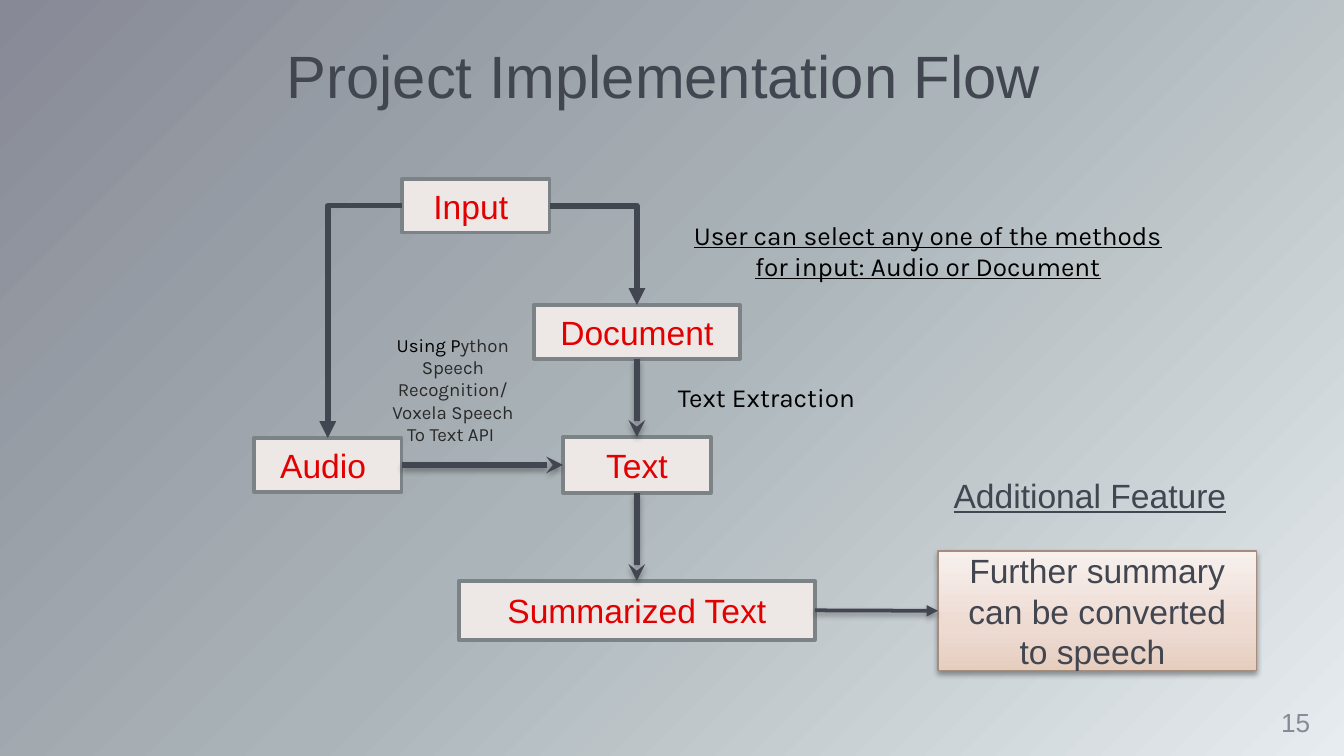
from lxml.etree import SubElement as Sub
from pptx import Presentation
from pptx.dml.color import RGBColor as RGB
from pptx.enum.shapes import MSO_CONNECTOR as LINK, MSO_SHAPE as SHAPE
from pptx.enum.text import MSO_ANCHOR as ANCHOR, MSO_AUTO_SIZE as SIZE, PP_ALIGN as ALIGN
from pptx.oxml.ns import qn
from pptx.util import Pt

DARK = RGB(0x42, 0x46, 0x50)
GREY = RGB(0x87, 0x8A, 0x96)
RED = RGB(0xE3, 0x00, 0x00)
BLACK = RGB(0x00, 0x00, 0x00)
INK = RGB(0x29, 0x29, 0x29)
PALE = RGB(0xED, 0xE8, 0xE5)
EDGE = RGB(0x7C, 0x83, 0x86)
TAN = RGB(0xA5, 0x8D, 0x7E)
SKY = [(0, RGB(0xE7, 0xEC, 0xF0)), (50, RGB(0xAB, 0xB4, 0xB8)), (100, GREY)]
PEACH = [(0, RGB(0xE6, 0xCE, 0xBF)), (35, RGB(0xED, 0xDA, 0xD1)), (100, RGB(0xF7, 0xF0, 0xED))]
TOP, LEFT, BOTTOM, RIGHT = range(4)


def blend(fill, root, stops, angle):
    """Give a fill a linear gradient with the listed stops."""
    fill.gradient()
    fill.gradient_angle = angle
    group = next(root.iter(qn("a:gsLst")))
    group.clear()
    for place, color in stops:
        stop = Sub(group, qn("a:gs"), pos=str(place * 1000))
        Sub(stop, qn("a:srgbClr"), val=str(color))


def shade(shape, alpha=None, gap=1.8):
    """Replace the theme shadow with a soft drop shadow, or with none."""
    props = shape.element.spPr
    effect = Sub(props, qn("a:effectLst"))
    if alpha:
        drop = Sub(effect, qn("a:outerShdw"), blurRad=str(Pt(3.1)), dist=str(Pt(gap)),
                   dir="5400000", rotWithShape="0")
        color = Sub(drop, qn("a:srgbClr"), val=str(BLACK))
        Sub(color, qn("a:alpha"), val=str(alpha * 1000))


def write(shape, runs, size, font="Arial", align=ALIGN.CENTER, anchor=ANCHOR.MIDDLE,
          pad=(7.2, 3.6), line=False):
    """Fill a shape with one paragraph of coloured runs."""
    frame = shape.text_frame
    frame.word_wrap = True
    frame.auto_size = SIZE.NONE
    frame.vertical_anchor = anchor
    frame.margin_left = frame.margin_right = Pt(pad[0])
    frame.margin_top = frame.margin_bottom = Pt(pad[1])
    para = frame.paragraphs[0]
    para.alignment = align
    for text, color in runs:
        run = para.add_run()
        run.text = text
        run.font.name = font
        run.font.size = Pt(size)
        run.font.color.rgb = color
        run.font.underline = line


def label(slide, box, runs, size, **style):
    """Add a text box."""
    write(slide.shapes.add_textbox(*map(Pt, box)), runs, size, **style)


def node(slide, mid, size, text, **style):
    """Add a flow box around its middle point."""
    (x, y), (wide, high) = mid, size
    box = slide.shapes.add_shape(SHAPE.RECTANGLE, Pt(x - wide / 2), Pt(y - high / 2),
                                 Pt(wide), Pt(high))
    box.shadow.inherit = False
    box.fill.solid()
    box.fill.fore_color.rgb = PALE
    box.line.color.rgb = EDGE
    box.line.width = Pt(2)
    write(box, [(text, RED)], 18, **style)
    return box


def join(slide, start, out, end, into, bent=False, width=3, head="stealth", alpha=None, gap=1.8):
    """Link two boxes with an arrow, straight or with one corner."""
    kind = LINK.ELBOW if bent else LINK.STRAIGHT
    link = slide.shapes.add_connector(kind, 0, 0, 0, 0)
    link.begin_connect(start, out)
    link.end_connect(end, into)
    if bent:
        link.element.spPr.find(qn("a:prstGeom")).set("prst", "bentConnector2")
    link.line.color.rgb = DARK
    link.line.width = Pt(width)
    Sub(link.line._get_or_add_ln(), qn("a:tailEnd"), type=head)
    shade(link, alpha, gap)


def heading(slide, box):
    """Place and format the title."""
    title = slide.shapes.title
    title.left, title.top, title.width, title.height = map(Pt, box)
    write(title, [("Project Implementation Flow", DARK)], 32, anchor=ANCHOR.TOP, pad=(7.2, 7.2))


def flow(slide, left, top):
    """Draw the input flow and return its last box."""
    small = (79.2, 28.8)
    axis, row = left + 205.2, top + 153.3
    entry = node(slide, (left + 118.8, top + 14.4), small, "Input", align=ALIGN.LEFT, pad=(17, 3.6))
    audio = node(slide, (left + 39.6, row), small, "Audio ")
    paper = node(slide, (axis, top + 82), (110.2, 28.8), "Document")
    text = node(slide, (axis, row), (79.2, 30.2), "Text")
    final = node(slide, (axis, top + 231.2), (190.8, 31.7), "Summarized Text")
    for start, out, end, into in [(paper, BOTTOM, text, TOP), (text, BOTTOM, final, TOP),
                                  (audio, RIGHT, text, LEFT)]:
        join(slide, start, out, end, into, alpha=34)
    for out, end in [(LEFT, audio), (RIGHT, paper)]:
        join(slide, entry, out, end, TOP, bent=True, head="triangle")
    return final


def notes(slide, left, top):
    """Place the remarks around the flow."""
    style = dict(font="Karla", anchor=ANCHOR.TOP, pad=(7.2, 7.2))
    label(slide, (left + 162.7, top, 270, 48.2),
          [("User can select any one of the methods for input: Audio or Document", BLACK)],
          14, line=True, **style)
    label(slide, (left, top + 61.2, 86.4, 93.6),
          [("Using P", BLACK), ("ython Speech Recognition/ Voxela Speech To Text API ", INK)],
          10, **style)
    label(slide, (left + 156.2, top + 87.1, 110.2, 31.7), [("Text Extraction", BLACK)], 14, **style)


def feature(slide, left, top, source):
    """Draw the extra feature and link it to its source."""
    label(slide, (left, top, 187.2, 28.8), [("Additional Feature", DARK)], 18,
          anchor=ANCHOR.TOP, line=True)
    card = slide.shapes.add_shape(SHAPE.RECTANGLE, Pt(left + 12.2), Pt(top + 44.4),
                                  Pt(170.6), Pt(64.1))
    blend(card.fill, card.element, PEACH, 90)
    card.line.color.rgb = TAN
    card.line.width = Pt(0.75)
    shade(card, 37, 1.6)
    write(card, [("Further summary can be converted to speech ", DARK)], 18)
    join(slide, source, RIGHT, card, LEFT, width=2, head="triangle", alpha=37, gap=1.6)


def main():
    """Build and save the slide."""
    deck = Presentation()
    deck.slide_width, deck.slide_height = Pt(720), Pt(405)
    slide = deck.slides.add_slide(deck.slide_layouts[5])
    blend(slide.background.fill, slide.element, SKY, 135)
    heading(slide, (-4.3, 13.7, 720, 53.3))
    final = flow(slide, 136, 95.8)
    notes(slide, 199.4, 110.2)
    feature(slide, 490.3, 250.8, final)
    label(slide, (672.5, 371.5, 43.2, 31), [("15", GREY)], 14, pad=(0, 0))
    deck.save("out.pptx")


if __name__ == "__main__":
    main()
